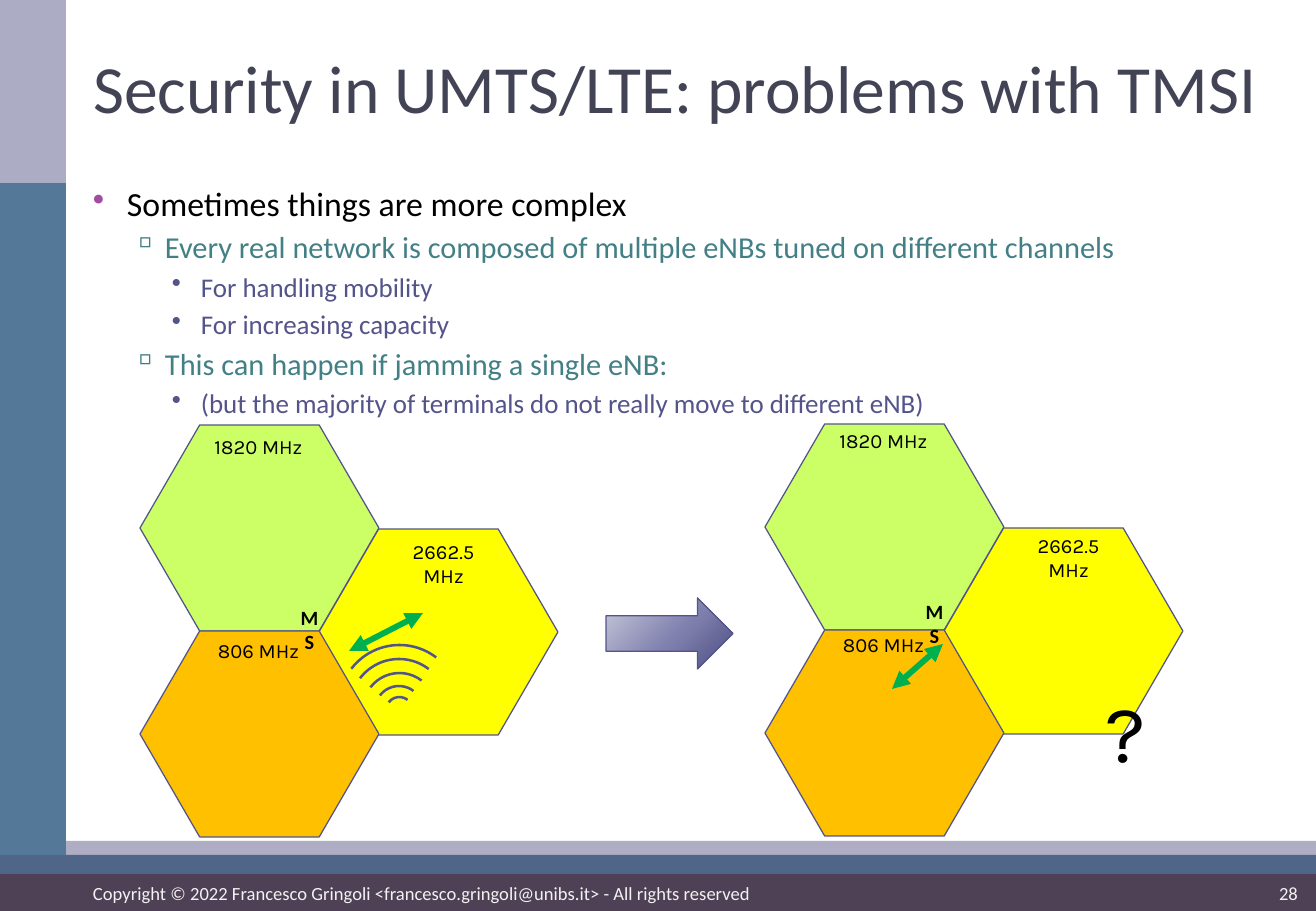
from pptx import Presentation
from pptx.dml.color import RGBColor
from pptx.enum.shapes import MSO_CONNECTOR, MSO_SHAPE
from pptx.enum.text import MSO_ANCHOR, MSO_AUTO_SIZE, PP_ALIGN
from pptx.oxml import parse_xml
from pptx.oxml.ns import nsdecls
from pptx.util import Pt
from lxml import etree

PX = 7526
RECT, HEXAGON = MSO_SHAPE.RECTANGLE, MSO_SHAPE.HEXAGON
ARROW, ARC = MSO_SHAPE.RIGHT_ARROW, MSO_SHAPE.ARC
STRAIGHT = MSO_CONNECTOR.STRAIGHT
TOP, MIDDLE = MSO_ANCHOR.TOP, MSO_ANCHOR.MIDDLE
LEFT, CENTER, RIGHT = PP_ALIGN.LEFT, PP_ALIGN.CENTER, PP_ALIGN.RIGHT
NO_AUTOFIT = MSO_AUTO_SIZE.NONE
TITLE_ONLY = 5

COLORS = {
    "black": "000000", "title": "424456", "footer_text": "F2F2F2",
    "plum": "4E4055", "lilac": "AEADC4", "lavender": "ADACC5",
    "navy": "506688", "steel": "547898",
    "purple": "A04DA3", "teal": "438086", "indigo": "53548A",
    "lime": "CCFF66", "yellow": "FFFF00", "orange": "FFC000", "green": "00B050",
    "arrow_light": "C9C9DA", "arrow_mid": "7F80AE", "arrow_dark": "4D4E81",
}
LEVELS = [
    dict(margin=49, hang=34, mark="•", mark_color="purple", color="black", size=20),
    dict(margin=87, hang=33, mark="▫", mark_color="teal", color="teal", size=18),
    dict(margin=123, hang=29, mark="•", mark_color="indigo", color="indigo", size=16),
]
BULLETS = [
    (0, "Sometimes things are more complex"),
    (1, "Every real network is composed of multiple eNBs tuned on different channels"),
    (2, "For handling mobility"),
    (2, "For increasing capacity"),
    (1, "This can happen if jamming a single eNB:"),
    (2, "(but the majority of terminals do not really move to different eNB)"),
]
BANDS = [
    (0, 874, 1316, 37, "plum"),
    (0, 841, 1316, 33, "lilac"),
    (0, 855, 1316, 19, "navy"),
    (0, 169, 66, 686, "steel"),
    (0, 0, 66, 183, "lavender"),
]
CELLS = [(0, 0, "lime"), (179, 104, "yellow"), (0, 206, "orange")]
CELL_LABELS = [
    (241, 105, 125, "2662.5 MHz", {}),
    (59, 0, 119, "1820 MHz", {}),
    (59, 204, 119, "806 MHz", {}),
    (148, 171, 43, "MS", dict(font="Calibri", bold=True)),
]
WAVES = [(645, 121), (659, 98), (673, 73), (686, 48), (697, 27)]


def rgb(name):
    return RGBColor.from_string(COLORS[name])


def write(p, text, size=12, color="black", font="Calibri", bold=False, align=LEFT):
    p.alignment = align
    r = p.add_run()
    r.text = text
    r.font.size = Pt(size)
    r.font.name = font
    r.font.bold = bold
    r.font.color.rgb = rgb(color)


class Deck:
    def __init__(self, width, height):
        self.prs = Presentation()
        self.prs.slide_width, self.prs.slide_height = width * PX, height * PX
        self.s = self.prs.slides.add_slide(self.prs.slide_layouts[TITLE_ONLY])

    def frame(self, sp, insets, anchor):
        tf = sp.text_frame
        tf.word_wrap = True
        tf.auto_size = NO_AUTOFIT
        tf.vertical_anchor = anchor
        tf.margin_left, tf.margin_top, tf.margin_right, tf.margin_bottom = (
            i * PX for i in insets)
        return tf

    def title(self, x, y, w, h, text, **fmt):
        sp = self.s.shapes.title
        sp.left, sp.top, sp.width, sp.height = (v * PX for v in (x, y, w, h))
        write(self.frame(sp, (15, 0, 0, 0), MIDDLE).paragraphs[0], text, **fmt)

    def text(self, x, y, w, h, text, insets=(12, 6, 12, 6), anchor=TOP, **fmt):
        sp = self.s.shapes.add_textbox(x * PX, y * PX, w * PX, h * PX)
        write(self.frame(sp, insets, anchor).paragraphs[0], text, **fmt)

    def bullets(self, x, y, w, h, items):
        sp = self.s.shapes.add_textbox(x * PX, y * PX, w * PX, h * PX)
        tf = self.frame(sp, (0, 0, 0, 0), TOP)
        for i, (level, text) in enumerate(items):
            st = LEVELS[level]
            p = tf.add_paragraph() if i else tf.paragraphs[0]
            p.level = level
            p.space_before = Pt(3 if i else 0)
            pPr = p._p.get_or_add_pPr()
            pPr.set("marL", str(st["margin"] * PX))
            pPr.set("indent", str(-st["hang"] * PX))
            pPr.append(parse_xml(
                f'<a:buClr {nsdecls("a")}><a:srgbClr val="{COLORS[st["mark_color"]]}"/></a:buClr>'))
            pPr.append(parse_xml(f'<a:buChar {nsdecls("a")} char="{st["mark"]}"/>'))
            write(p, text, size=st["size"], color=st["color"])

    def shape(self, kind, x, y, w, h, fill=None, line=None, weight=0.75):
        sp = self.s.shapes.add_shape(kind, x * PX, y * PX, w * PX, h * PX)
        sp.shadow.inherit = False
        if fill:
            sp.fill.solid()
            sp.fill.fore_color.rgb = rgb(fill)
        else:
            sp.fill.background()
        if line:
            sp.line.color.rgb = rgb(line)
            sp.line.width = Pt(weight)
        else:
            sp.line.fill.background()
        return sp

    def radial(self, sp, stops, rect):
        sp.fill.gradient()
        spPr = sp._element.spPr
        gs = "".join(f'<a:gs pos="{pos * 1000}"><a:srgbClr val="{COLORS[c]}"/></a:gs>'
                     for pos, c in stops)
        sides = " ".join(f'{k}="{v * 1000}"' for k, v in zip("ltrb", rect))
        spPr.replace(spPr.find("{*}gradFill"), parse_xml(
            f'<a:gradFill {nsdecls("a")} rotWithShape="1"><a:gsLst>{gs}</a:gsLst>'
            f'<a:path path="circle"><a:fillToRect {sides}/></a:path></a:gradFill>'))

    def double_arrow(self, x1, y1, x2, y2, color, weight):
        cn = self.s.shapes.add_connector(STRAIGHT, x1 * PX, y1 * PX, x2 * PX, y2 * PX)
        cn.line.color.rgb = rgb(color)
        cn.line.width = Pt(weight)
        ns = "{http://schemas.openxmlformats.org/drawingml/2006/main}"
        for end in ("headEnd", "tailEnd"):
            etree.SubElement(cn.line._get_or_add_ln(), ns + end, type="triangle")
        etree.SubElement(cn._element.spPr, ns + "effectLst")

    def cluster(self, x, y, label_y):
        for dx, dy, fill in CELLS:
            sp = self.shape(HEXAGON, x + dx, y + dy, 239, 206, fill, "indigo")
            sp.adjustments[0] = 0.29
        for dx, dy, w, text, fmt in CELL_LABELS:
            self.text(x + dx, label_y + dy, w, 36, text,
                      **{"font": "Karla", "align": CENTER, **fmt})


def main():
    d = Deck(1316, 911)
    for x, y, w, h, fill in BANDS:
        d.shape(RECT, x, y, w, h, fill)
    d.title(78, 16, 1221, 142, "Security in UMTS/LTE: problems with TMSI",
            size=40, color="title")
    d.bullets(78, 183, 1221, 657, BULLETS)
    footer = dict(anchor=MIDDLE, size=11, color="footer_text")
    d.text(78, 879, 1042, 28,
           "Copyright © 2022 Francesco Gringoli <francesco.gringoli@unibs.it> - All rights reserved",
           insets=(15, 0, 0, 0), **footer)
    d.text(1149, 879, 149, 28, "28", insets=(0, 0, 0, 0), align=RIGHT, **footer)

    d.cluster(140, 425, 428)
    d.double_arrow(349, 651, 423, 613, "green", 3.5)
    d.cluster(765, 424, 422)
    d.double_arrow(943, 644, 892, 689, "green", 3.5)
    d.text(1094, 676, 130, 111, "?", size=48, font="Karla")

    arrow = d.shape(ARROW, 606, 598, 127, 71, line="indigo")
    d.radial(arrow, [(0, "arrow_light"), (55, "arrow_mid"), (100, "arrow_dark")],
             (-40, -90, 140, 190))
    for top, size in WAVES:
        wave = d.shape(ARC, 399 - size // 2, top, size, size, line="indigo", weight=1.5)
        wave.rotation = 307.4
    d.prs.save("out.pptx")


if __name__ == "__main__":
    main()
